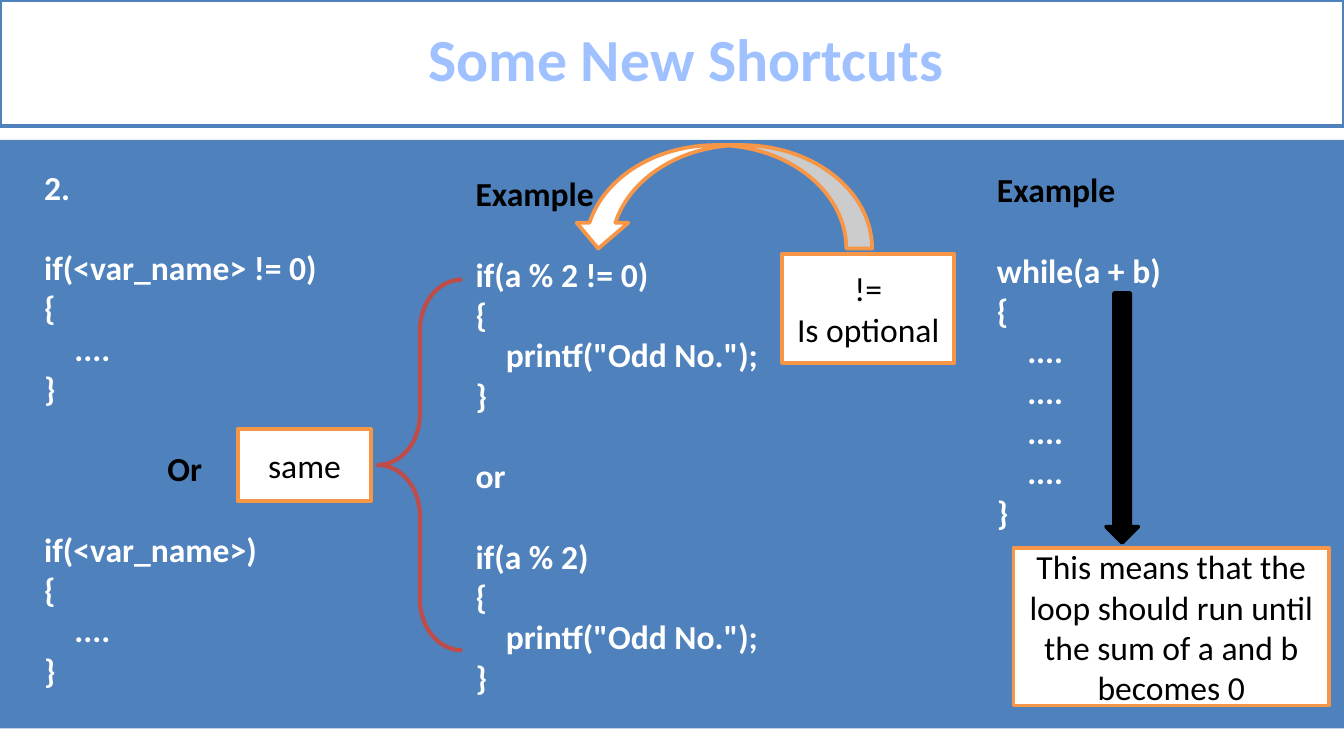
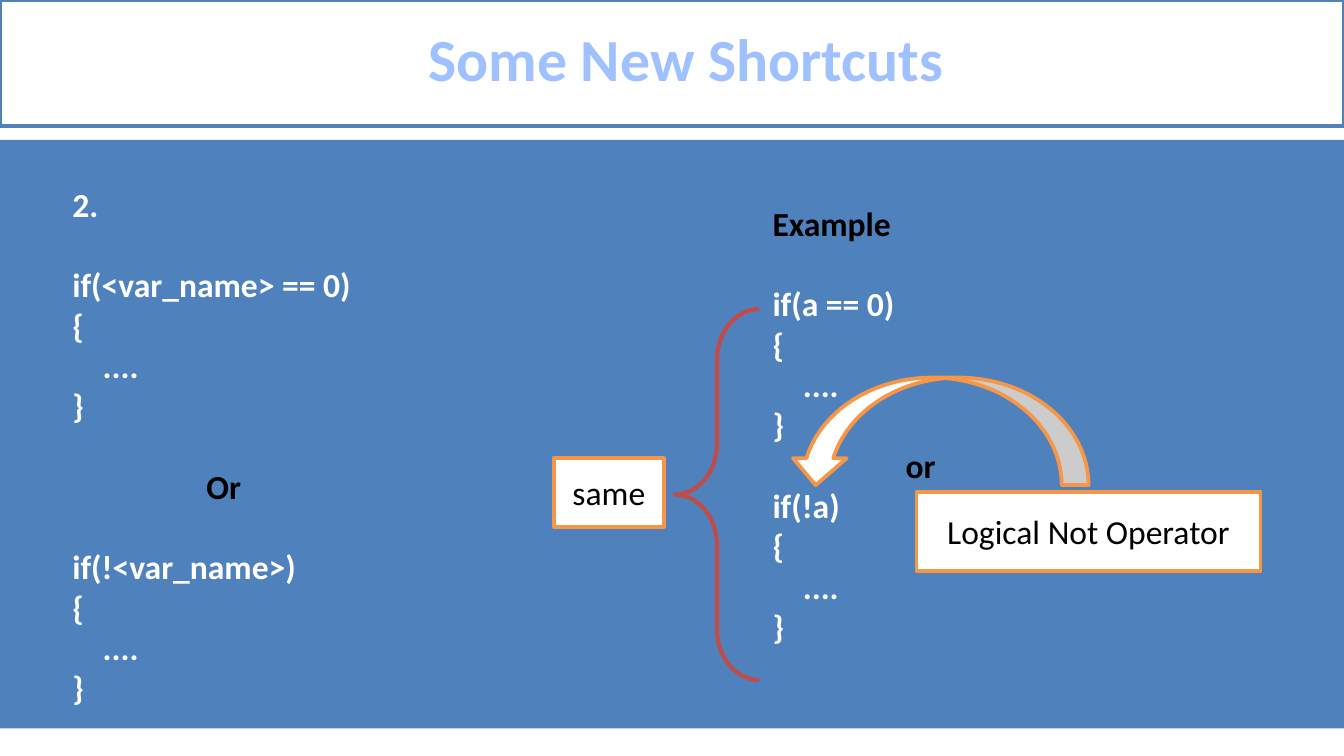
from dataclasses import dataclass

from lxml import etree
from pptx import Presentation
from pptx import util as u
from pptx.dml.color import RGBColor
from pptx.enum import shapes, text
from pptx.oxml.ns import qn

KIND = shapes.MSO_SHAPE
MID = text.PP_ALIGN.CENTER
LEFT = text.PP_ALIGN.LEFT


@dataclass(frozen=True)
class Theme:
    font: str = "Calibri"
    head: int = 32
    body: int = 18
    row: float = 21.5  # height of one body line, in points
    lead: float = 0.96
    edge: float = 2
    bend: float = 2.25
    blue: str = "4F81BD"
    pale: str = "A0C1FF"
    gold: str = "F79646"
    red: str = "BF4C48"
    white: str = "FFFFFF"
    black: str = "000000"


T = Theme()
WIDE = 10
HIGH = WIDE * 9 / 16
TITLE = "Some New Shortcuts"
COUNT = "2."  # a line drawn as a list number

# Columns: place, code (an empty line parts two blocks), alignment of dark labels.
# Notes: place and text. Arcs, braces and drops: place.
SLIDES = [
    {
        "columns": [
            ((3.44, 1.24, 2.4, 4.04), """Example

if(a % 2 != 0)
{
    printf("Odd No.");
}

or

if(a % 2)
{
    printf("Odd No.");
}""", {"Example": LEFT}),
            ((0.23, 1.19, 2.29, 4.04), """2.

if(<var_name> != 0)
{
    ....
}

Or

if(<var_name>)
{
    ....
}""", {"Or": MID}),
            ((7.32, 1.21, 2.4, 2.83), """Example

while(a + b)
{
    ....
    ....
    ....
    ....
}""", {"Example": LEFT}),
        ],
        "notes": [
            ((5.82, 1.89, 1.28, 0.81), "!=\nIs optional"),
            ((1.77, 3.19, 0.99, 0.54), "same"),
            ((7.54, 4.08, 2.35, 1.17),
             "This means that the\n"
             "loop should run until the sum of a and b\n"
             "becomes 0"),
        ],
        "arcs": [(4.26, 1.08, 2.23, 0.77)],
        "braces": [(2.81, 2.08, 0.63, 2.76)],
        "drops": [(8.23, 2.18, 0.24, 1.86)],
    },
    {
        "columns": [
            ((5.65, 1.46, 2.4, 3.43), """Example

if(a == 0)
{
    ....
}
or
if(!a)
{
    ....
}""", {"Example": LEFT, "or": MID}),
            ((0.44, 1.32, 2.45, 4.04), """2.

if(<var_name> == 0)
{
    ....
}

Or

if(!<var_name>)
{
    ....
}""", {"Or": MID}),
        ],
        "notes": [
            ((6.82, 3.66, 2.56, 0.59), "Logical Not Operator"),
            ((4.12, 3.41, 0.82, 0.51), "same"),
        ],
        "arcs": [(5.87, 2.81, 2.23, 0.8)],
        "braces": [(5.02, 2.3, 0.63, 2.76)],
        "drops": [],
    },
]


def rgb(tint):
    return RGBColor.from_string(tint)


def place(at):
    return [u.Inches(n) for n in at]


def style(para, size, tint, bold=False, align=LEFT):
    para.alignment = align
    for run in para.runs:
        font = run.font
        font.name, font.size, font.bold = T.font, u.Pt(size), bold
        font.color.rgb = rgb(tint)


def count(para, start):
    """Turn a paragraph into an otherwise empty list item."""
    para.text = " "
    prop = para._p.get_or_add_pPr()
    hang = u.Inches(0.44)
    prop.set("marL", str(hang))
    prop.set("indent", str(-hang))
    mark = etree.SubElement(prop, qn("a:buAutoNum"))
    mark.set("type", "arabicPeriod")
    mark.set("startAt", start)


def shape(slide, kind, at, fill=None, line=None, width=T.edge):
    part = slide.shapes.add_shape(kind, *place(at))
    part.shadow.inherit = False
    if fill:
        part.fill.solid()
        part.fill.fore_color.rgb = rgb(fill)
    else:
        part.fill.background()
    if line:
        part.line.color.rgb = rgb(line)
        part.line.width = u.Pt(width)
    else:
        part.line.fill.background()
    return part


def label(part, words, size, tint, bold=False):
    """Write centred text into a shape."""
    frame = part.text_frame
    frame.word_wrap = True
    frame.vertical_anchor = text.MSO_ANCHOR.MIDDLE
    frame.text = words
    for para in frame.paragraphs:
        style(para, size, tint, bold, MID)


def frame(slide):
    """Draw the band and the title that every slide shares."""
    shape(slide, KIND.RECTANGLE, (0, 1.04, WIDE, 4.38), T.blue)
    title = shape(slide, KIND.RECTANGLE, (0, 0, WIDE, 0.94), T.white, T.blue)
    body = title.text_frame
    body.margin_left, body.margin_bottom = place((0.31, 0.09))
    label(title, TITLE, T.head, T.pale, True)
    body.paragraphs[0].line_spacing = T.lead


def column(slide, at, code, dark):
    box = slide.shapes.add_textbox(*place(at)).text_frame
    box.word_wrap = True
    box.auto_size = text.MSO_AUTO_SIZE.SHAPE_TO_FIT_TEXT
    blocks = code.split("\n\n")
    box.text = "\n".join(blocks)
    paras = iter(box.paragraphs)
    for b, block in enumerate(blocks):
        for n, line in enumerate(block.split("\n")):
            para = next(paras)
            if line == COUNT:
                count(para, line.rstrip("."))
            tint = T.black if line in dark else T.white
            style(para, T.body, tint, True, dark.get(line, LEFT))
            if b and not n:
                para.space_before = u.Pt(T.row)


def build(deck, data):
    slide = deck.slides.add_slide(deck.slide_layouts[6])
    frame(slide)
    for at, code, dark in data["columns"]:
        column(slide, at, code, dark)
    for at, words in data["notes"]:
        note = shape(slide, KIND.RECTANGLE, at, T.white, T.gold)
        label(note, words, T.body, T.black)
    for at in data["arcs"]:
        arc = shape(slide, KIND.CURVED_DOWN_ARROW, at, T.white, T.gold)
        arc.element.spPr.xfrm.set("flipH", "1")
    for at in data["braces"]:
        brace = shape(slide, KIND.LEFT_BRACE, at, line=T.red, width=T.bend)
        brace.adjustments[0] = 0.6
    for at in data["drops"]:
        shape(slide, KIND.DOWN_ARROW, at, T.black, T.black)


def main():
    deck = Presentation()
    deck.slide_width, deck.slide_height = place((WIDE, HIGH))
    for data in SLIDES:
        build(deck, data)
    deck.save("out.pptx")


if __name__ == "__main__":
    main()
